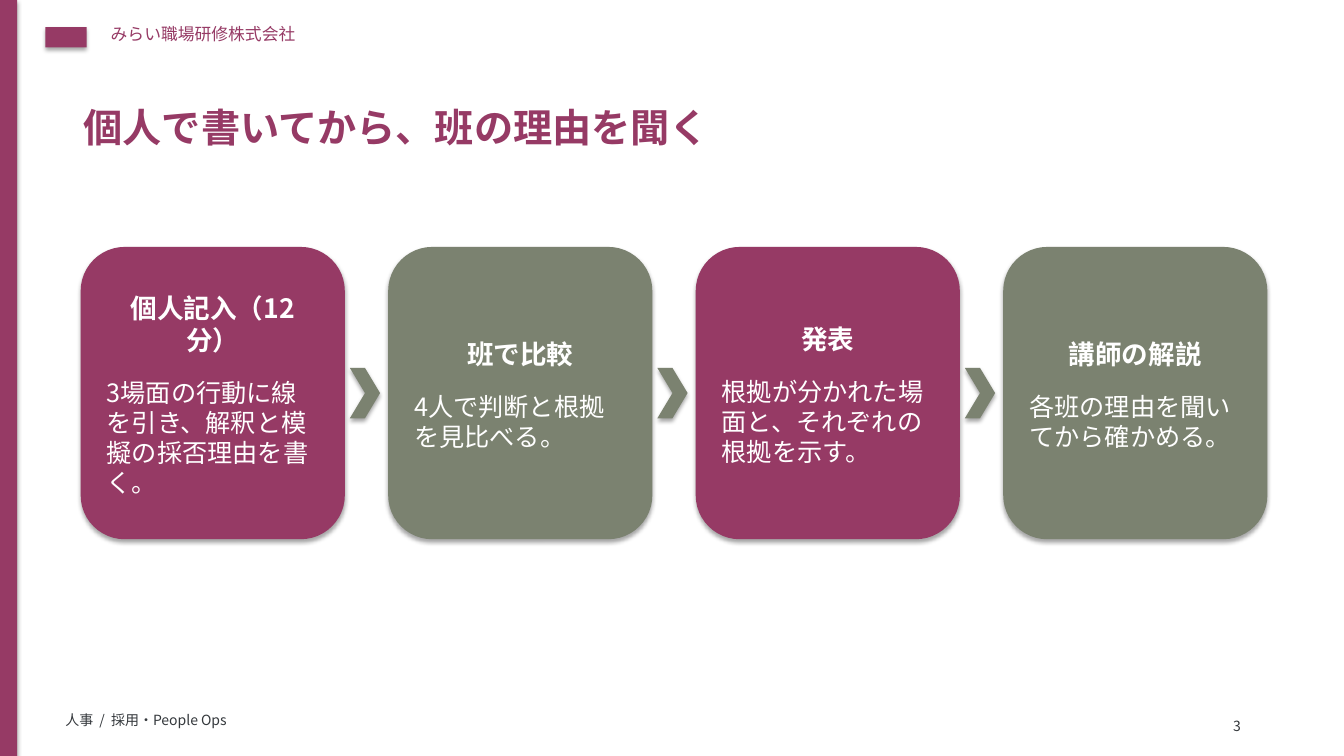
from dataclasses import dataclass

from lxml import etree
from pptx import Presentation
from pptx.dml.color import RGBColor
from pptx.enum.shapes import MSO_SHAPE
from pptx.enum.text import MSO_ANCHOR, MSO_AUTO_SIZE, PP_ALIGN
from pptx.oxml.ns import qn
from pptx.util import Inches, Pt

RECT, CARD, CHEVRON = MSO_SHAPE.RECTANGLE, MSO_SHAPE.ROUNDED_RECTANGLE, MSO_SHAPE.CHEVRON
LEFT, CENTER = PP_ALIGN.LEFT, PP_ALIGN.CENTER
TOP, MIDDLE = MSO_ANCHOR.TOP, MSO_ANCHOR.MIDDLE
NO_FIT, GROW = MSO_AUTO_SIZE.NONE, MSO_AUTO_SIZE.SHAPE_TO_FIT_TEXT

FONT = "Noto Sans CJK JP"
PLUM, SAGE, INK, WHITE = "963A65", "7B8270", "34383C", "FFFFFF"
PADDING = (0.13, 0.12, 0.13, 0.08)
CARD_LEFT, CARD_TOP, CARD_WIDTH, CARD_HEIGHT, CARD_STEP = 0.8, 2.45, 2.62, 2.9, 3.05
CHEVRON_WIDTH, CHEVRON_HEIGHT, CHEVRON_GAP = 0.3, 0.5, 0.05


@dataclass
class Step:
    heading: str
    detail: str
    color: str


@dataclass
class Label:
    text: str
    box: tuple[float, float, float, float]
    size: float
    color: str
    wrap: bool = False
    padding: tuple[float, float, float, float] = (0.1, 0.05, 0.1, 0.05)


STEPS = [
    Step("個人記入（12分）", "3場面の行動に線を引き、解釈と模擬の採否理由を書く。", PLUM),
    Step("班で比較", "4人で判断と根拠を見比べる。", SAGE),
    Step("発表", "根拠が分かれた場面と、それぞれの根拠を示す。", PLUM),
    Step("講師の解説", "各班の理由を聞いてから確かめる。", SAGE),
]

LABELS = [
    Label("みらい職場研修株式会社", (1, 0.19, 8, 0.4), 12, PLUM),
    Label("人事  /  採用・People Ops", (0.55, 7.01, 10, 0.3), 10, INK),
    Label("3", (12.1, 7.01, 0.5, 0.25), 10, INK, wrap=True, padding=PADDING),
]


def rgb(color: str) -> RGBColor:
    return RGBColor.from_string(color)


def write(paragraph, text: str, *, size: float, color: str, bold: bool = False,
          align=LEFT, before: float = 0) -> None:
    paragraph.alignment = align
    if before:
        paragraph.space_before = Pt(before)
    run = paragraph.add_run()
    run.text = text
    font = run.font
    font.size, font.bold, font.name = Pt(size), bold, FONT
    font.color.rgb = rgb(color)
    # East Asian typeface follows the Latin one
    etree.SubElement(run._r.get_or_add_rPr(), qn("a:ea")).set("typeface", FONT)


def set_frame(frame, padding, *, anchor=TOP, wrap: bool = True, fit=NO_FIT) -> None:
    frame.margin_left, frame.margin_top, frame.margin_right, frame.margin_bottom = map(
        Inches, padding)
    frame.vertical_anchor, frame.word_wrap, frame.auto_size = anchor, wrap, fit


def add_shadow(shape) -> None:
    shape.shadow.inherit = False
    effects = shape._element.spPr.find(qn("a:effectLst"))
    shadow = etree.SubElement(effects, qn("a:outerShdw"), blurRad=str(Pt(3.1)),
                              dist=str(Pt(1.8)), dir="5400000", rotWithShape="0")
    black = etree.SubElement(shadow, qn("a:srgbClr"), val="000000")
    etree.SubElement(black, qn("a:alpha"), val="35000")


def add_block(slide, kind, box, color: str):
    block = slide.shapes.add_shape(kind, *map(Inches, box))
    block.fill.solid()
    block.fill.fore_color.rgb = rgb(color)
    block.line.fill.background()
    add_shadow(block)
    return block


def add_label(slide, label: Label) -> None:
    frame = slide.shapes.add_textbox(*map(Inches, label.box)).text_frame
    set_frame(frame, label.padding, wrap=label.wrap, fit=GROW)
    write(frame.paragraphs[0], label.text, size=label.size, color=label.color)


def add_step(slide, step: Step, left: float) -> None:
    card = add_block(slide, CARD, (left, CARD_TOP, CARD_WIDTH, CARD_HEIGHT), step.color)
    frame = card.text_frame
    set_frame(frame, PADDING, anchor=MIDDLE)
    write(frame.paragraphs[0], step.heading, size=19, color=WHITE, bold=True, align=CENTER)
    write(frame.add_paragraph(), step.detail, size=18, color=WHITE, before=15)


def main() -> None:
    deck = Presentation()
    deck.slide_width, deck.slide_height = Inches(13.33), Inches(7.5)
    slide = deck.slides.add_slide(deck.slide_layouts[5])

    # Title
    title = slide.shapes.title
    title.left, title.top, title.width, title.height = map(Inches, (0.7, 0.9, 11.8, 0.85))
    set_frame(title.text_frame, PADDING)
    write(title.text_frame.paragraphs[0], "個人で書いてから、班の理由を聞く",
          size=28, color=PLUM, bold=True)

    # Side band, plain brand mark, header and footer
    add_block(slide, RECT, (0, 0, 0.17, 7.5), PLUM)
    add_block(slide, RECT, (0.45, 0.27, 0.41, 0.2), PLUM)
    for label in LABELS:
        add_label(slide, label)

    # Steps with a chevron between neighbours
    chevron_top = CARD_TOP + (CARD_HEIGHT - CHEVRON_HEIGHT) / 2
    for index, step in enumerate(STEPS):
        left = CARD_LEFT + index * CARD_STEP
        if index:
            chevron_left = left - CARD_STEP + CARD_WIDTH + CHEVRON_GAP
            add_block(slide, CHEVRON,
                      (chevron_left, chevron_top, CHEVRON_WIDTH, CHEVRON_HEIGHT), SAGE)
        add_step(slide, step, left)

    deck.save("out.pptx")


if __name__ == "__main__":
    main()
